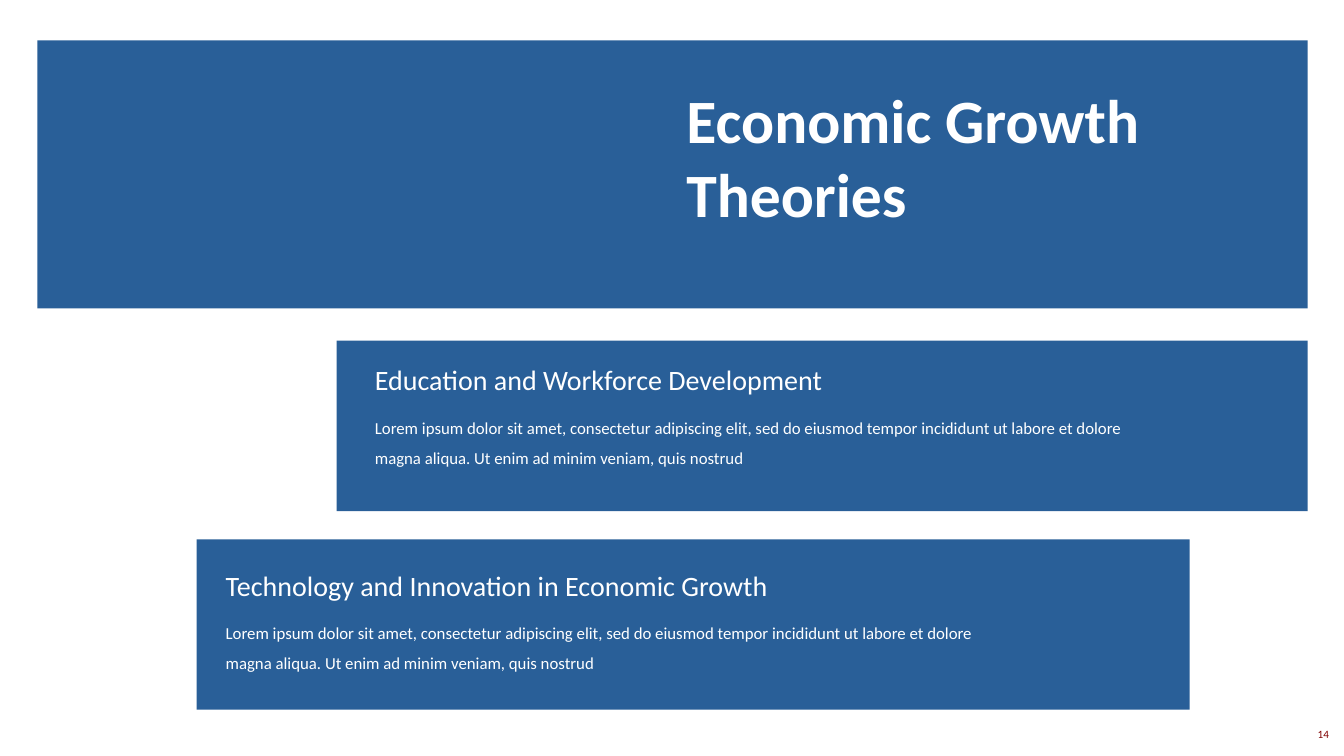
from pptx import Presentation, util as u
from pptx.dml.color import RGBColor
from pptx.enum import shapes, text

COL = {"blue": "295F98", "white": "FFFFFF", "red": "800000"}
FACE = "Calibri"
BODY = ("Lorem ipsum dolor sit amet, consectetur adipiscing elit, sed do eiusmod "
        "tempor incididunt ut labore et dolore magna aliqua. "
        "Ut enim ad minim veniam, quis nostrud")


def block(tree, box):
    """Plain blue rectangle."""
    rect = tree.add_shape(shapes.MSO_SHAPE.RECTANGLE, *map(u.Inches, box))
    rect.shadow.inherit = False
    rect.fill.solid()
    rect.fill.fore_color.rgb = RGBColor.from_string(COL["blue"])
    rect.line.fill.background()


def label(tree, box, words, size, color="white", bold=False, **form):
    """Wrapped text box; form holds paragraph settings."""
    frame = tree.add_textbox(*map(u.Inches, box)).text_frame
    frame.word_wrap = True
    para = frame.paragraphs[0]
    for key, val in form.items():
        setattr(para, key, val)
    run = para.add_run()
    run.text = words
    for key, val in {"name": FACE, "size": u.Pt(size), "bold": bold}.items():
        setattr(run.font, key, val)
    run.font.color.rgb = RGBColor.from_string(COL[color])


def banner(slide, box, title):
    """Top band with the title in its right half."""
    x, y, w, h = box
    block(slide.shapes, box)
    label(slide.shapes, (x + 6.34, y + 0.36, 5.94, 1.58), title, 44, bold=True)


def card(slide, box, inset, head, body):
    """Grouped panel: heading above body text, offset by inset."""
    x, y, w, h = box
    dx, dy = inset
    tree = slide.shapes.add_group_shape().shapes
    block(tree, box)
    label(tree, (x + dx, y + dy + 0.44, 7.66, 0.71), body, 12, line_spacing=1.5)
    label(tree, (x + dx, y + dy, 7.66, 0.44), head, 20)


def footer(slide, box, number):
    """Page number at the lower right."""
    label(slide.shapes, box, number, 8, "red", alignment=text.PP_ALIGN.RIGHT)


def main():
    deck = Presentation()
    deck.slide_width, deck.slide_height = u.Inches(13.33), u.Inches(7.5)
    slide = deck.slides.add_slide(deck.slide_layouts[6])

    footer(slide, (12.74, 7.17, 0.54, 0.24), "14")
    cards = [
        ((1.95, 5.35, 9.85, 1.69), (0.19, 0.24),
         "Technology and Innovation in Economic Growth"),
        ((3.34, 3.38, 9.63, 1.69), (0.28, 0.17),
         "Education and Workforce Development"),
    ]
    for box, inset, head in cards:
        card(slide, box, inset, head, BODY)
    banner(slide, (0.37, 0.4, 12.6, 2.66), "Economic Growth Theories")

    deck.save("out.pptx")


if __name__ == "__main__":
    main()
